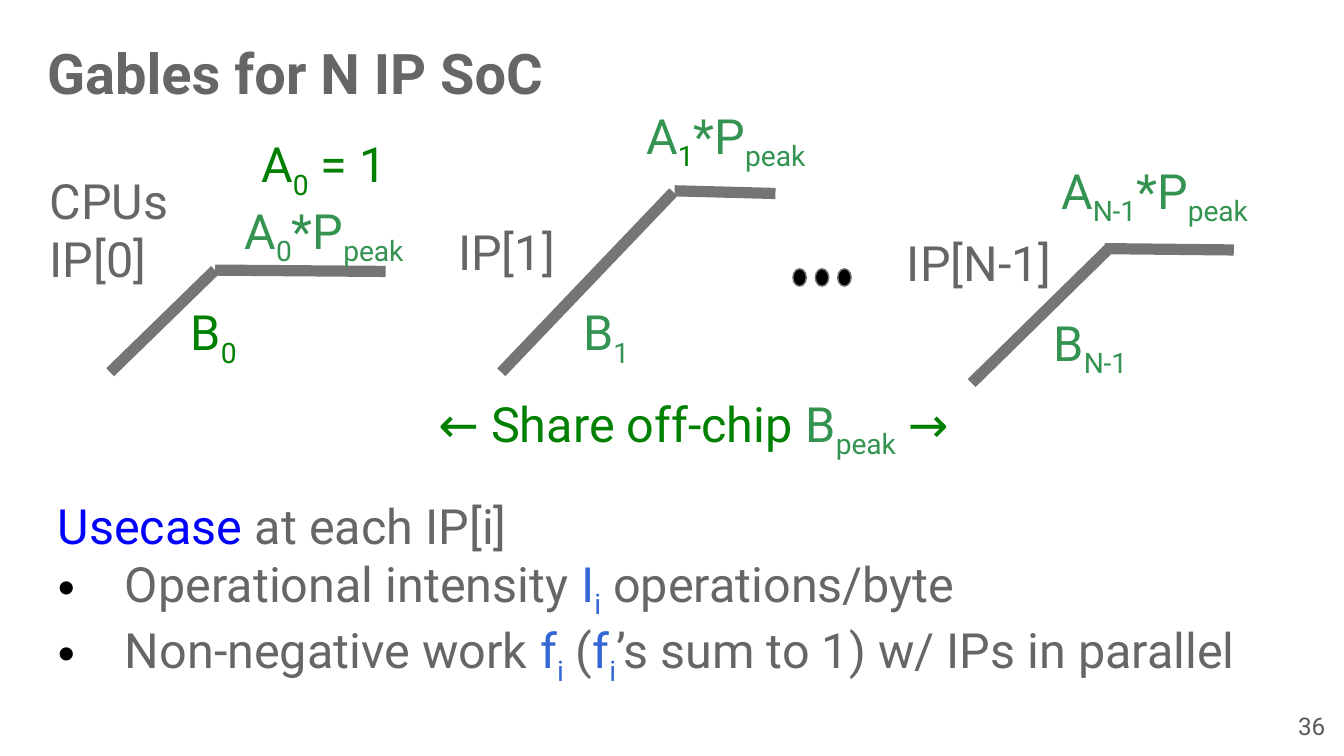
from dataclasses import dataclass
from typing import NamedTuple

from lxml.etree import SubElement
from pptx import Presentation
from pptx.dml.color import RGBColor
from pptx.enum.shapes import MSO_CONNECTOR as CONN, MSO_SHAPE as SHAPE
from pptx.enum.text import MSO_ANCHOR as ANCHOR, MSO_AUTO_SIZE as AUTO, PP_ALIGN as ALIGN
from pptx.oxml.ns import qn
from pptx.util import Inches, Pt


@dataclass(frozen=True)
class Theme:
    font: str = "Roboto"
    gray: str = "666666"
    line: str = "757575"
    green: str = "008000"
    sea: str = "349351"
    blue: str = "0000FF"
    azure: str = "3367D6"
    black: str = "000000"
    number: str = "595959"
    title_size: float = 30
    text_size: float = 26
    number_size: float = 13


T = Theme()


class Box(NamedTuple):
    left: float
    top: float
    width: float
    height: float


class Point(NamedTuple):
    x: float
    y: float


class Run(NamedTuple):
    text: str
    color: str = T.gray
    sub: bool = False


Para = list[Run]


class Label(NamedTuple):
    box: Box
    paras: list[Para]
    align: ALIGN = ALIGN.LEFT


class Gable(NamedTuple):
    roof: tuple[Point, Point]
    slope: tuple[Point, Point]
    peak: Label
    bandwidth: Label
    name: Label


def place(sp, box: Box) -> None:
    sp.left, sp.top, sp.width, sp.height = map(Inches, box)


def set_bullet(p, color: str) -> None:
    pPr = p._p.get_or_add_pPr()
    pPr.set("marL", str(Inches(0.5)))
    pPr.set("indent", str(-Inches(0.5)))
    clr = SubElement(pPr, qn("a:buClr"))
    SubElement(clr, qn("a:srgbClr"), val=color)
    SubElement(pPr, qn("a:buFont"), typeface="Arial")
    SubElement(pPr, qn("a:buChar"), char="•")


def clear_bullet(p) -> None:
    pPr = p._p.get_or_add_pPr()
    pPr.set("marL", "0")
    pPr.set("indent", "0")
    SubElement(pPr, qn("a:buNone"))


def write(sp, paras: list[Para], *, size: float = T.text_size, bold: bool = False,
          align: ALIGN = ALIGN.LEFT, bullets_from: int | None = None) -> None:
    tf = sp.text_frame
    tf.word_wrap = True
    tf.auto_size = AUTO.NONE
    tf.vertical_anchor = ANCHOR.TOP
    tf.margin_left = tf.margin_right = tf.margin_top = tf.margin_bottom = Inches(0.1)
    for i, runs in enumerate(paras):
        p = tf.paragraphs[0] if i == 0 else tf.add_paragraph()
        p.alignment = align
        p.space_before = Pt(0)
        if bullets_from is not None and i >= bullets_from:
            set_bullet(p, T.black)
        else:
            clear_bullet(p)
        for run in runs:
            r = p.add_run()
            r.text = run.text
            r.font.name = T.font
            r.font.size = Pt(size)
            r.font.bold = bold
            r.font.color.rgb = RGBColor.from_string(run.color)
            if run.sub:
                r._r.get_or_add_rPr().set("baseline", "-25000")


def add_label(shapes, label: Label, size: float = T.text_size) -> None:
    sp = shapes.add_textbox(*map(Inches, label.box))
    write(sp, label.paras, size=size, align=label.align)


def add_line(shapes, start: Point, end: Point) -> None:
    sp = shapes.add_connector(CONN.STRAIGHT, *map(Inches, (*start, *end)))
    sp.line.color.rgb = RGBColor.from_string(T.line)
    sp.line.width = Pt(6)
    SubElement(sp._element.spPr, qn("a:effectLst"))


def add_dot(shapes, box: Box) -> None:
    sp = shapes.add_shape(SHAPE.OVAL, *map(Inches, box))
    sp.shadow.inherit = False
    sp.fill.solid()
    sp.fill.fore_color.rgb = RGBColor.from_string(T.black)
    sp.line.color.rgb = RGBColor.from_string(T.line)
    sp.line.width = Pt(0.75)


def add_gable(shapes, gable: Gable) -> None:
    add_line(shapes, *gable.roof)
    add_line(shapes, *gable.slope)
    for label in (gable.peak, gable.bandwidth, gable.name):
        add_label(shapes, label)


def peak(index: str, color: str = T.sea) -> Para:
    return [Run("A", T.sea), Run(index, color, True), Run("*P", T.sea), Run("peak", T.sea, True)]


def bandwidth(index: str, color: str = T.sea) -> Para:
    return [Run("B", color), Run(index, color, True)]


GABLES = [
    Gable((Point(1.6, 2.01), Point(2.87, 2.02)), (Point(1.6, 2.01), Point(0.82, 2.77)),
          Label(Box(1.43, 0.9, 1.96, 0.69),
                [[Run("A", T.green), Run("0", T.green, True), Run(" = 1", T.green)], peak("0")],
                ALIGN.CENTER),
          Label(Box(1.32, 2.15, 1.12, 0.69), [bandwidth("0", T.green)]),
          Label(Box(0.27, 1.17, 1.24, 0.69), [[Run("CPUs")], [Run("IP[0]")]])),
    Gable((Point(5.02, 1.42), Point(5.77, 1.44)), (Point(5.01, 1.43), Point(3.73, 2.77)),
          Label(Box(4.42, 0.69, 1.96, 0.81), [peak("1", T.green)], ALIGN.CENTER),
          Label(Box(4.24, 2.15, 1.18, 0.69), [bandwidth("1")]),
          Label(Box(3.31, 1.55, 1.12, 0.69), [[Run("IP[1]")]])),
    Gable((Point(8.22, 1.85), Point(9.18, 1.86)), (Point(8.25, 1.85), Point(7.23, 2.85)),
          Label(Box(7.31, 1.1, 2.56, 0.81), [peak("N-1")], ALIGN.CENTER),
          Label(Box(7.74, 2.23, 1.18, 0.69), [bandwidth("N-1")]),
          Label(Box(6.65, 1.63, 1.35, 0.69), [[Run("IP[N-1]")]])),
]
SHARED = Label(Box(2.79, 2.83, 4.74, 0.76),
               [[Run("← Share off-chip ", T.green), Run("B", T.sea),
                 Run("peak", T.sea, True), Run(" →", T.green)]], ALIGN.CENTER)
NUMBER = Label(Box(9.36, 5.19, 0.6, 0.43), [[Run("36", T.number)]], ALIGN.RIGHT)
WORK = [Run("f", T.azure), Run("i", T.azure, True)]
USECASE = [
    [Run("Usecase ", T.blue), Run("at each IP[i]")],
    [Run("Operational intensity "), Run("I", T.azure), Run("i", T.azure, True),
     Run(" operations/byte")],
    [Run("Non-negative work "), *WORK, Run(" ("), *WORK,
     Run("’s sum to 1) w/ IPs in parallel")],
]


def main() -> None:
    prs = Presentation()
    prs.slide_width = Inches(10)
    prs.slide_height = Inches(10 * 9 / 16)
    s = prs.slides.add_slide(prs.slide_layouts[1])
    title, body = s.placeholders
    place(title, Box(0.25, 0.19, 9.55, 0.83))
    write(title, [[Run("Gables for N IP SoC")]], size=T.title_size, bold=True)
    place(body, Box(0.33, 3.59, 9.55, 1.61))
    write(body, USECASE, bullets_from=1)
    for gable in GABLES:
        add_gable(s.shapes, gable)
    for i in range(3):
        add_dot(s.shapes, Box(5.9 + i / 6, 2, 0.1, 0.13))
    add_label(s.shapes, SHARED)
    add_label(s.shapes, NUMBER, T.number_size)
    prs.save("out.pptx")


if __name__ == "__main__":
    main()
